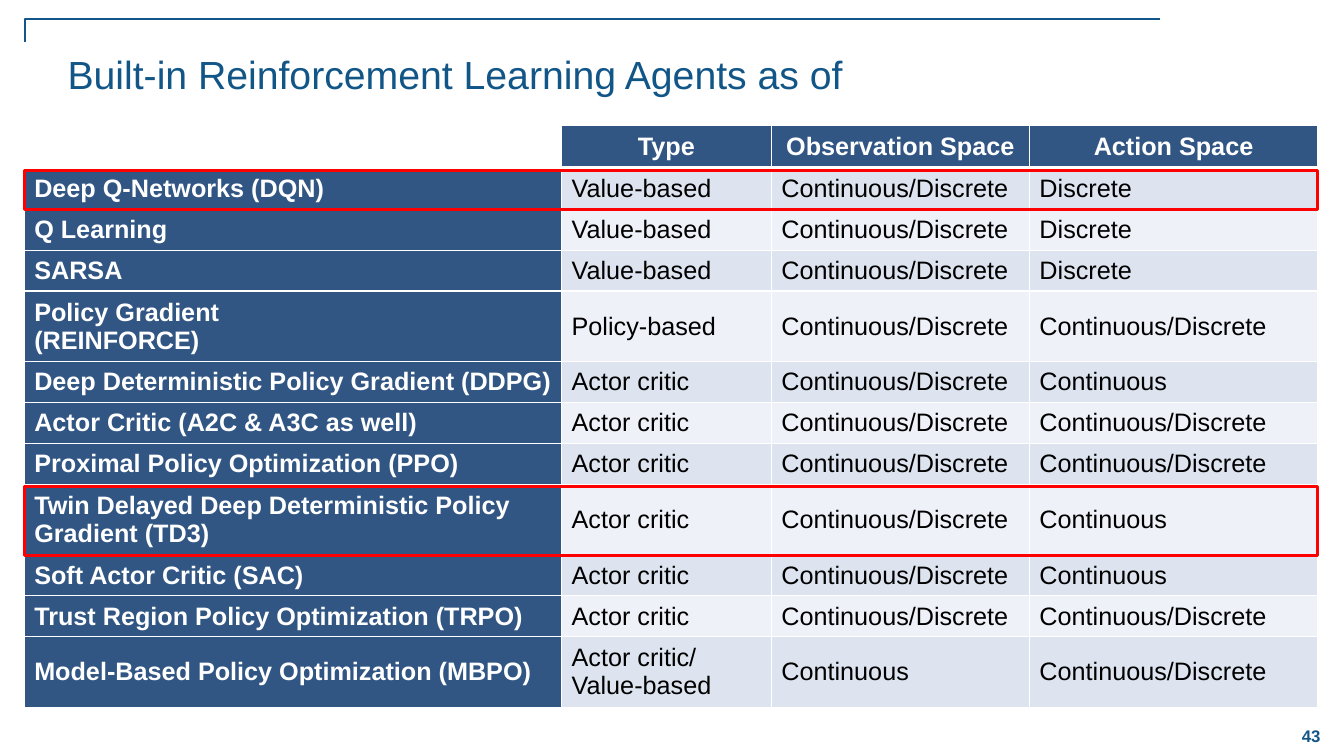
from pptx import Presentation
from pptx.dml.color import RGBColor
from pptx.enum.shapes import MSO_SHAPE
from pptx.enum.text import MSO_ANCHOR, PP_ALIGN
from pptx.oxml import parse_xml
from pptx.oxml.ns import nsdecls
from pptx.util import Inches, Pt

TITLE_BLUE = RGBColor(0x12, 0x56, 0x87)
TABLE_BLUE = RGBColor(0x31, 0x56, 0x84)
BAND_DARK = RGBColor(0xDD, 0xE4, 0xEF)
BAND_LIGHT = RGBColor(0xEE, 0xF1, 0xF8)
WHITE = RGBColor(0xFF, 0xFF, 0xFF)
BLACK = RGBColor(0x00, 0x00, 0x00)
RED = RGBColor(0xFF, 0x00, 0x00)

HEADINGS = ["", "Type", "Observation Space", "Action Space"]
BOTH = "Continuous/Discrete"
AGENTS = [
    ("Deep Q-Networks (DQN)", "Value-based", BOTH, "Discrete"),
    ("Q Learning", "Value-based", BOTH, "Discrete"),
    ("SARSA", "Value-based", BOTH, "Discrete"),
    ("Policy Gradient (REINFORCE)", "Policy-based", BOTH, BOTH),
    ("Deep Deterministic Policy Gradient (DDPG)", "Actor critic", BOTH, "Continuous"),
    ("Actor Critic (A2C & A3C as well)", "Actor critic", BOTH, BOTH),
    ("Proximal Policy Optimization (PPO)", "Actor critic", BOTH, BOTH),
    ("Twin Delayed Deep Deterministic Policy Gradient (TD3)", "Actor critic", BOTH,
     "Continuous"),
    ("Soft Actor Critic (SAC)", "Actor critic", BOTH, "Continuous"),
    ("Trust Region Policy Optimization (TRPO)", "Actor critic", BOTH, BOTH),
    ("Model-Based Policy Optimization (MBPO)", "Actor critic/\nValue-based", "Continuous",
     BOTH),
]
COLUMN_WIDTHS = [5.33, 2.08, 2.56, 2.86]
HEADER_HEIGHT = 0.43
TALL_HEIGHT = 0.7
TALL_ROWS = {4, 8, 11}
HIGHLIGHTED_ROWS = [1, 8]
NARROW_ROW = 4  # its name wraps early


def write(frame, text, align=PP_ALIGN.LEFT, **font_values):
    frame.text = text
    for para in frame.paragraphs:
        para.alignment = align
        para.space_before = Pt(0)
        para.font.name = "Arial"
        color = font_values.get("color", BLACK)
        para.font.color.rgb = color
        for name, value in font_values.items():
            if name != "color":
                setattr(para.font, name, value)


def clear_insets(frame):
    for side in ("left", "top", "right", "bottom"):
        setattr(frame, f"margin_{side}", 0)


def add_corner_rule(page, left, top, width, height):
    builder = page.shapes.build_freeform(Inches(left + width), Inches(top))
    builder.add_line_segments(
        [(Inches(left), Inches(top)), (Inches(left), Inches(top + height))], close=False)
    rule = builder.convert_to_shape()
    rule.shadow.inherit = False
    rule.fill.background()
    rule.line.color.rgb = TITLE_BLUE
    rule.line.width = Pt(1)


def add_title(page, left, top, width, height):
    title = page.shapes.title
    box = {"left": left, "top": top, "width": width, "height": height}
    for name, value in box.items():
        setattr(title, name, Inches(value))
    frame = title.text_frame
    clear_insets(frame)
    frame.vertical_anchor = MSO_ANCHOR.TOP
    write(frame, "Built-in Reinforcement Learning Agents as of",
          size=Pt(28), color=TITLE_BLUE)


def add_page_number(page, left, top, width, height):
    number = page.shapes.add_textbox(*map(Inches, (left, top, width, height)))
    frame = number.text_frame
    frame.word_wrap = True
    frame.vertical_anchor = MSO_ANCHOR.MIDDLE
    write(frame, "43", PP_ALIGN.CENTER, size=Pt(12), bold=True, color=TITLE_BLUE)


def set_borders(cell, widths):
    properties = cell._tc.get_or_add_tcPr()
    for position, (side, points) in enumerate(widths.items()):
        properties.insert(position, parse_xml(
            f'<a:ln{side} {nsdecls("a")} w="{Pt(points)}"><a:solidFill>'
            f'<a:srgbClr val="{WHITE}"/></a:solidFill></a:ln{side}>'))


def format_cell(cell, text, row, column):
    is_header = row == 0
    is_label = is_header or column == 0
    margins = {"margin_left": 0 if is_header else 0.1, "margin_right": 0,
               "margin_top": 0, "margin_bottom": 0}
    if row == NARROW_ROW and column == 0:
        margins["margin_right"] = 2.5
    for name, value in margins.items():
        setattr(cell, name, Inches(value))
    cell.vertical_anchor = MSO_ANCHOR.MIDDLE
    write(cell.text_frame, text, PP_ALIGN.CENTER if is_header else PP_ALIGN.LEFT,
          size=Pt(18), bold=is_label, color=WHITE if is_label else BLACK)
    if is_header and column == 0:
        cell.fill.background()
    else:
        cell.fill.solid()
        band = BAND_DARK if row % 2 else BAND_LIGHT
        cell.fill.fore_color.rgb = TABLE_BLUE if is_label else band
    set_borders(cell, {"L": 1, "R": 1, "T": 3 if row == 1 else 1,
                       "B": 3 if is_header else 1})


def add_highlight(page, left, top, width, height):
    frame = page.shapes.add_shape(
        MSO_SHAPE.RECTANGLE, *map(Inches, (left, top, width, height)))
    frame.shadow.inherit = False
    frame.fill.background()
    frame.line.color.rgb = RED
    frame.line.width = Pt(2)


def add_agent_table(page, left, top, width, height):
    rows = [HEADINGS, *AGENTS]
    short_count = len(AGENTS) - len(TALL_ROWS)
    short_height = (height - HEADER_HEIGHT - len(TALL_ROWS) * TALL_HEIGHT) / short_count
    heights = [HEADER_HEIGHT] + [TALL_HEIGHT if row in TALL_ROWS else short_height
                                 for row in range(1, len(rows))]
    table = page.shapes.add_table(
        len(rows), len(HEADINGS), *map(Inches, (left, top, width, height))).table
    table.first_row = table.horz_banding = False
    for column, column_width in enumerate(COLUMN_WIDTHS):
        table.columns[column].width = Inches(column_width)
    for row, texts in enumerate(rows):
        table.rows[row].height = Inches(heights[row])
        for column, text in enumerate(texts):
            format_cell(table.cell(row, column), text, row, column)
    # Red frames sit just inside the highlighted rows
    for row in HIGHLIGHTED_ROWS:
        add_highlight(page, left, top + sum(heights[:row]) + 0.02, width,
                      heights[row] - 0.02)


def main():
    deck = Presentation()
    deck.slide_width, deck.slide_height = Inches(13.33), Inches(7.5)
    page = deck.slides.add_slide(deck.slide_layouts[5])
    add_page_number(page, 12.67, 7.09, 0.67, 0.42)
    add_corner_rule(page, 0.25, 0.19, 11.26, 0.23)
    add_title(page, 0.67, 0.5, 11.78, 0.48)
    add_agent_table(page, 0.24, 1.24, 12.83, 5.78)
    deck.save("out.pptx")


if __name__ == "__main__":
    main()
